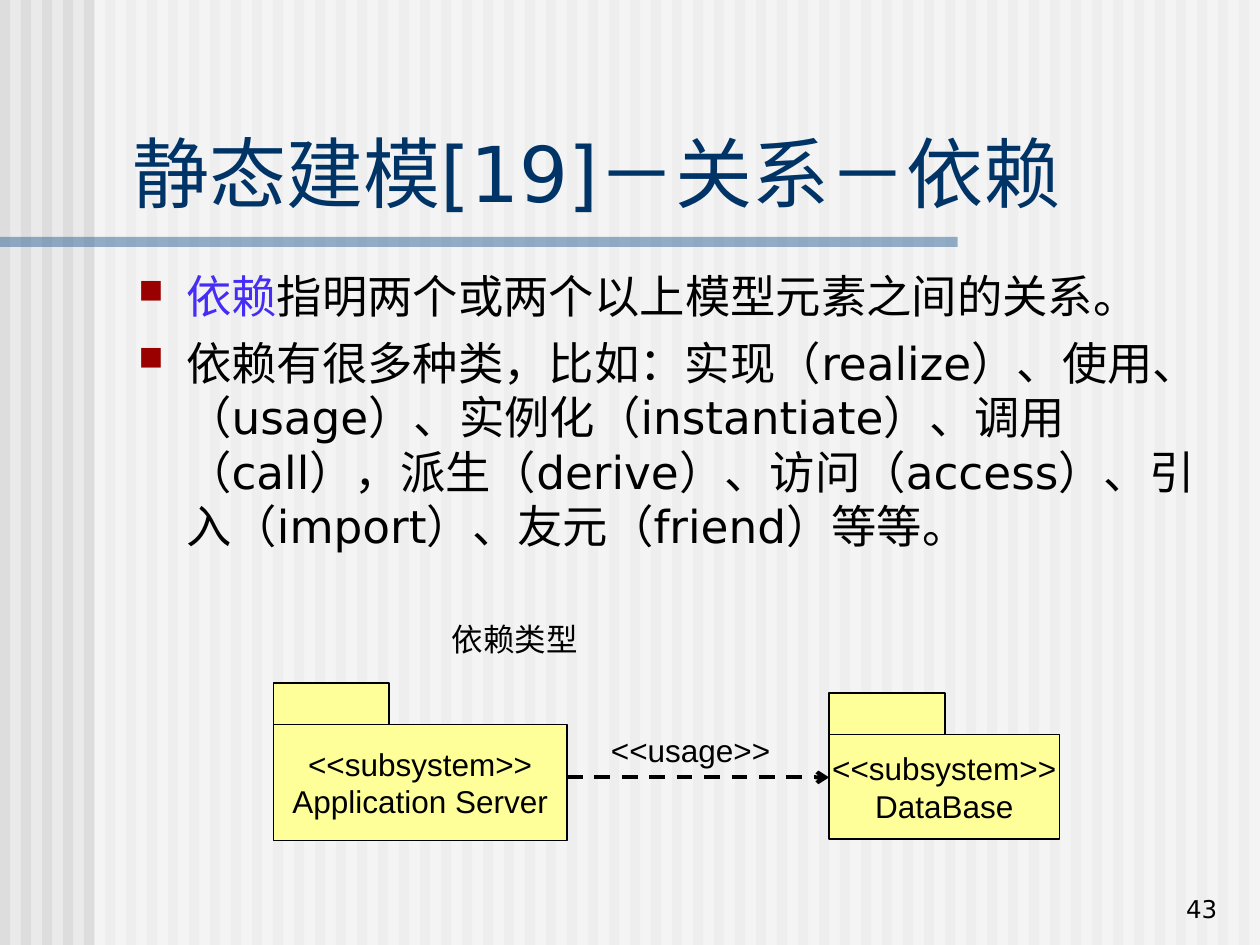
from dataclasses import dataclass

from lxml import etree
from pptx import Presentation
from pptx.dml.color import RGBColor
from pptx.enum.dml import MSO_LINE_DASH_STYLE as Dash
from pptx.enum.shapes import MSO_CONNECTOR as Conn, MSO_SHAPE as Shape
from pptx.enum.text import MSO_ANCHOR as Anchor, PP_ALIGN as Align
from pptx.oxml.ns import qn
from pptx.util import Inches, Pt

COLORS = {
    "back": "EAEAEA", "stripe": "DDDDDD", "white": "FFFFFF", "rule": "336699",
    "title": "003366", "key": "452DF5", "bullet": "9A0000",
    "package": "FFFF99", "black": "000000",
}
SANS, ARIAL = "DejaVu Sans", "Arial"


@dataclass
class Box:
    x: float
    y: float
    w: float
    h: float

    def lengths(self) -> list:
        return [Inches(v) for v in (self.x, self.y, self.w, self.h)]


@dataclass
class Style:
    size: float
    font: str = SANS
    color: str = "black"


@dataclass
class Package:
    body: Box
    name: str


TAB_W, TAB_H = 0.92, 0.33
PACKAGES = [
    Package(Box(2.17, 5.75, 2.33, 0.92), "Application Server"),
    Package(Box(6.58, 5.83, 1.83, 0.83), "DataBase"),
]
BULLETS = [
    [("依赖", "key"), ("指明两个或两个以上模型元素之间的关系。", "black")],
    [("依赖有很多种类，比如：实现（realize）、使用、（usage）、实例化（instantiate）、"
      "调用（call），派生（derive）、访问（access）、引入（import）、友元（friend）等等。",
      "black")],
]
LABEL = Style(18, ARIAL)


def rgb(name: str) -> RGBColor:
    return RGBColor.from_string(COLORS[name])


def set_all(obj, values: dict) -> None:
    for key, value in values.items():
        setattr(obj, key, value)


def add_rect(shapes, box: Box, fill: str, line: bool = False, alpha: int = 100):
    sp = shapes.add_shape(Shape.RECTANGLE, *box.lengths())
    sp.shadow.inherit = False
    sp.fill.solid()
    sp.fill.fore_color.rgb = rgb(fill)
    if alpha < 100:
        clr = sp.fill._xPr.find(".//" + qn("a:srgbClr"))
        etree.SubElement(clr, qn("a:alpha"), val=str(alpha * 1000))
    if line:
        sp.line.color.rgb = rgb("black")
        sp.line.width = Pt(1)
    else:
        sp.line.fill.background()
    return sp


def add_run(p, text: str, style: Style) -> None:
    r = p.add_run()
    r.text = text
    set_all(r.font, {"size": Pt(style.size), "name": style.font})
    r.font.color.rgb = rgb(style.color)


def add_text(shapes, box: Box, text: str, style: Style, align=Align.LEFT, anchor=Anchor.TOP):
    tf = shapes.add_textbox(*box.lengths()).text_frame
    set_all(tf, {"word_wrap": True, "vertical_anchor": anchor})
    p = tf.paragraphs[0]
    p.alignment = align
    add_run(p, text, style)


def add_bullets(shapes, box: Box, items: list, size: float) -> None:
    tf = shapes.add_textbox(*box.lengths()).text_frame
    tf.word_wrap = True
    for i, parts in enumerate(items):
        p = tf.add_paragraph() if i else tf.paragraphs[0]
        p.space_before = Pt(7)
        pPr = p._p.get_or_add_pPr()
        pPr.set("marL", str(Inches(0.38)))
        pPr.set("indent", str(-Inches(0.38)))
        clr = etree.SubElement(pPr, qn("a:buClr"))
        etree.SubElement(clr, qn("a:srgbClr"), val=COLORS["bullet"])
        etree.SubElement(pPr, qn("a:buSzPct"), val="75000")
        etree.SubElement(pPr, qn("a:buChar"), char="■")
        for text, color in parts:
            add_run(p, text, Style(size, SANS, color))


def add_package(shapes, package: Package) -> None:
    body = package.body
    tf = add_rect(shapes, body, "package", line=True).text_frame
    set_all(tf, {"word_wrap": False, "vertical_anchor": Anchor.MIDDLE})
    for i, text in enumerate(("<<subsystem>>", package.name)):
        p = tf.add_paragraph() if i else tf.paragraphs[0]
        p.alignment = Align.CENTER
        add_run(p, text, LABEL)
    add_rect(shapes, Box(body.x, body.y - TAB_H, TAB_W, TAB_H), "package", line=True)


def add_dependency(shapes, x1: float, x2: float, y: float) -> None:
    cx = shapes.add_connector(Conn.STRAIGHT, Inches(x1), Inches(y), Inches(x2), Inches(y))
    cx.line.color.rgb = rgb("black")
    set_all(cx.line, {"width": Pt(2.25), "dash_style": Dash.DASH})
    etree.SubElement(cx.line._get_or_add_ln(), qn("a:tailEnd"), type="arrow")
    etree.SubElement(cx._element.spPr, qn("a:effectLst"))


def main() -> None:
    prs = Presentation()
    set_all(prs, {"slide_width": Inches(10), "slide_height": Inches(7.5)})
    s = prs.slides.add_slide(prs.slide_layouts[6])
    s.background.fill.solid()
    s.background.fill.fore_color.rgb = rgb("back")

    # Striped backdrop, veil and title rule
    backdrop = s.shapes.add_group_shape().shapes
    for i in range(60):
        add_rect(backdrop, Box(i / 6, 0, 0.08, 7.5), "stripe")
    add_rect(backdrop, Box(0.75, 0, 9.25, 7.5), "white", alpha=50)
    add_rect(backdrop, Box(0, 1.88, 7.6, 0.08), "rule", alpha=50)

    # Title and body
    add_text(s.shapes, Box(0.95, 0.94, 8.93, 0.84), "静态建模[19]－关系－依赖",
             Style(44, SANS, "title"), anchor=Anchor.BOTTOM)
    add_bullets(s.shapes, Box(1, 2.08, 8.87, 2.67), BULLETS, 25.9)

    # Dependency diagram
    for package in PACKAGES:
        add_package(s.shapes, package)
    source, target = (package.body for package in PACKAGES)
    add_dependency(s.shapes, source.x + source.w, target.x, 6.17)
    add_text(s.shapes, Box(4.75, 5.75, 1.58, 0.4), "<<usage>>", LABEL)
    add_text(s.shapes, Box(3.4, 4.87, 1.37, 0.4), "依赖类型", LABEL, Align.CENTER)

    # Slide number
    add_text(s.shapes, Box(7.68, 6.88, 2.08, 0.5), "43", Style(14),
             Align.RIGHT, Anchor.BOTTOM)
    prs.save("out.pptx")


if __name__ == "__main__":
    main()
